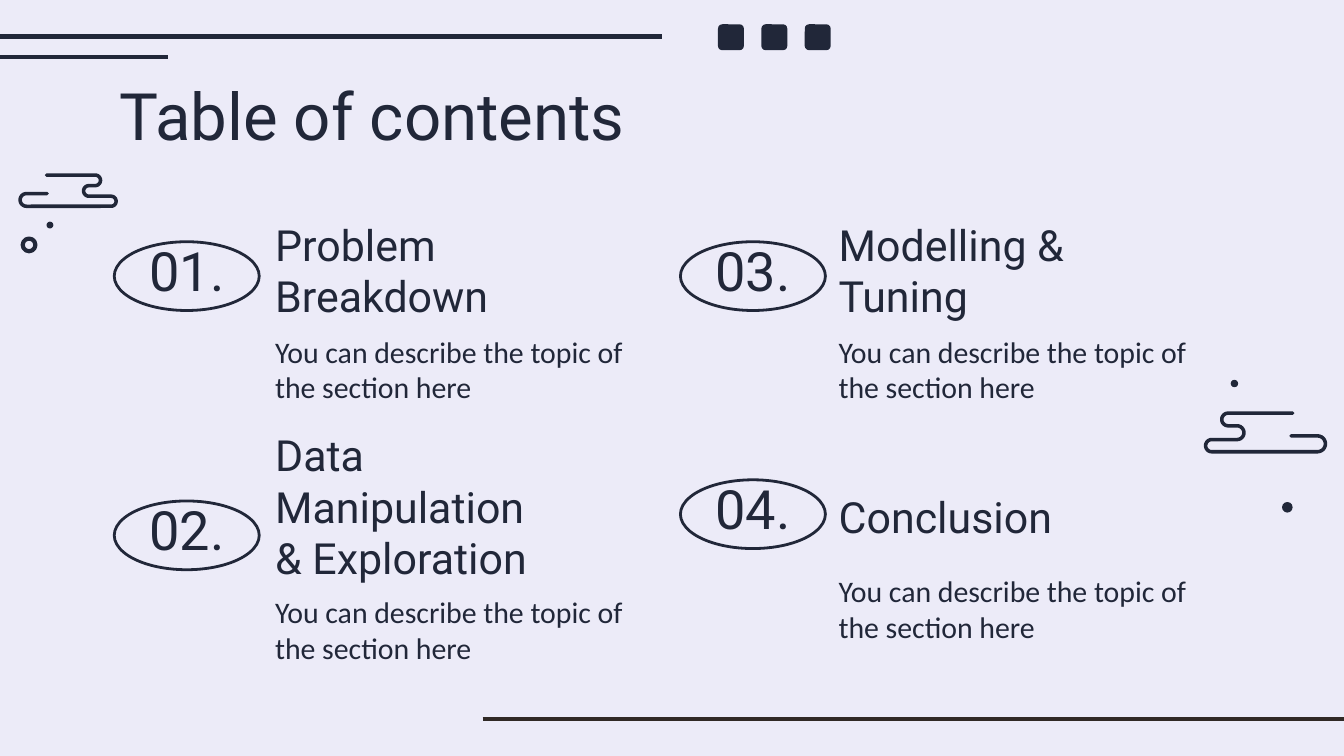
from dataclasses import dataclass
from math import cos, pi, sin

from lxml import etree
from pptx import Presentation
from pptx.dml.color import RGBColor
from pptx.enum.shapes import MSO_CONNECTOR, MSO_SHAPE
from pptx.enum.text import MSO_ANCHOR, MSO_AUTO_SIZE, PP_ALIGN
from pptx.oxml.ns import qn
from pptx.util import Cm, Pt

LEFT, CENTER = PP_ALIGN.LEFT, PP_ALIGN.CENTER
TOP, MIDDLE, BOTTOM = MSO_ANCHOR.TOP, MSO_ANCHOR.MIDDLE, MSO_ANCHOR.BOTTOM
OVAL, ROUNDED = MSO_SHAPE.OVAL, MSO_SHAPE.ROUNDED_RECTANGLE
STRAIGHT = MSO_CONNECTOR.STRAIGHT
FIXED_SIZE = MSO_AUTO_SIZE.NONE


@dataclass(frozen=True)
class Theme:
    paper: RGBColor = RGBColor.from_string("ECEBF8")
    ink: RGBColor = RGBColor.from_string("212739")
    footer: RGBColor = RGBColor.from_string("302926")
    display: str = "Roboto"
    text: str = "Calibri"
    title_size: float = 35
    number_size: float = 29
    heading_size: float = 23
    text_size: float = 16
    rule: float = 2.25
    ring: float = 1.5
    cloud: float = 1.9


theme = Theme()


def write_text(box, text, *, place, size, font=theme.display, align=LEFT,
               anchor=TOP, top_inset=0.25):
    box.left, box.top, box.width, box.height = [Cm(value) for value in place]
    frame = box.text_frame
    frame.word_wrap = True
    frame.auto_size = FIXED_SIZE
    frame.vertical_anchor = anchor
    frame.margin_left = frame.margin_right = frame.margin_bottom = Cm(0.25)
    frame.margin_top = Cm(top_inset)
    para = frame.paragraphs[0]
    para.alignment = align
    para.space_before = Pt(0)
    properties = para._p.get_or_add_pPr()
    properties.set("marL", "0")
    properties.set("indent", "0")
    etree.SubElement(properties, qn("a:buNone"))
    span = para.add_run()
    span.text = text
    span.font.name = font
    span.font.size = Pt(size)
    span.font.bold = False
    span.font.color.rgb = theme.ink


def add_shape(kind, place, line_width=0):
    shape = page.shapes.add_shape(kind, *[Cm(value) for value in place])
    shape.shadow.inherit = False
    if line_width:
        shape.fill.background()
        shape.line.color.rgb = theme.ink
        shape.line.width = Pt(line_width)
    else:
        shape.fill.solid()
        shape.fill.fore_color.rgb = theme.ink
        shape.line.fill.background()


deck = Presentation()
deck.slide_width, deck.slide_height = Cm(25.4), Cm(14.29)
page = deck.slides.add_slide(deck.slide_layouts.get_by_name("Comparison"))
page.background.fill.solid()
page.background.fill.fore_color.rgb = theme.paper

for start, end, height, color in [
    (0, 12.52, 0.69, theme.ink),
    (0, 3.18, 1.08, theme.ink),
    (9.12, 25.4, 13.59, theme.footer),
]:
    rule = page.shapes.add_connector(STRAIGHT, Cm(start), Cm(height), Cm(end), Cm(height))
    rule.line.color.rgb = color
    rule.line.width = Pt(theme.rule)
    etree.SubElement(rule._element.spPr, qn("a:effectLst"))

write_text(page.shapes.title, "Table of contents", place=(2.01, 1.5, 21.41, 1.32),
           size=theme.title_size, anchor=MIDDLE)

description = "You can describe the topic of the section here"
sections = [
    ("Problem Breakdown", 2.16, 4.95, 4.57, 4.39, 6.05),
    ("Data Manipulation & Exploration", 2.16, 4.95, 9.47, 9.35, 10.97),
    ("Modelling & Tuning", 12.86, 15.6, 4.57, 4.39, 6.05),
    ("Conclusion", 12.86, 15.6, 9.07, 8.56, 10.57),
]
for number, section in enumerate(sections, 1):
    heading, ring_left, text_left, ring_top, heading_top, description_top = section
    add_shape(OVAL, (ring_left, ring_top, 2.74, 1.3), theme.ring)
    write_text(page.shapes.add_textbox(0, 0, 0, 0), f"{number:02}.",
               place=(ring_left + 0.32, ring_top, 2.11, 1.3), size=theme.number_size,
               align=CENTER, anchor=MIDDLE, top_inset=0)
    write_text(page.placeholders[number], heading,
               place=(text_left, heading_top, 5.7, 1.93), size=theme.heading_size,
               anchor=BOTTOM)
    write_text(page.shapes.add_textbox(0, 0, 0, 0), description,
               place=(text_left, description_top, 7.5, 2.15), size=theme.text_size,
               font=theme.text)

clouds = [
    ((0.88, 3.31), [(1.8, 3.31, 3.51, 1), (1.68, 3.51, 3.71, -1),
                    (2.1, 3.71, 3.9, 1), (0.5, 3.9, 3.66, -1)], (0.89, 3.66)),
    ((24.43, 7.81), [(23.21, 7.81, 8.05, -1), (23.38, 8.05, 8.31, 1),
                     (22.9, 8.31, 8.54, -1), (24.9, 8.54, 8.24, 1)], (24.4, 8.24)),
]
for start, turns, end in clouds:
    points = []
    for center, first, last, side in turns:
        radius = abs(last - first) / 2
        for step in range(13):
            angle = pi * step / 12
            across = center + side * radius * sin(angle)
            down = (first + last) / 2 + (first - last) / 2 * cos(angle)
            points.append((Cm(across), Cm(down)))
    points.append((Cm(end[0]), Cm(end[1])))
    builder = page.shapes.build_freeform(Cm(start[0]), Cm(start[1]))
    builder.add_line_segments(points, close=False)
    cloud = builder.convert_to_shape()
    cloud.shadow.inherit = False
    cloud.fill.background()
    cloud.line.color.rgb = theme.ink
    cloud.line.width = Pt(theme.cloud)
    cloud.line._get_or_add_ln().set("cap", "rnd")

for left, top, size, line_width in [
    (24.23, 9.49, 0.2, 0),
    (0.88, 4.19, 0.13, 0),
    (0.43, 4.51, 0.24, theme.rule),
    (23.26, 7.18, 0.14, 0),
]:
    add_shape(OVAL, (left, top, size, size), line_width)

for column in range(3):
    add_shape(ROUNDED, (13.57 + 0.82 * column, 0.46, 0.49, 0.49))

deck.save("out.pptx")
